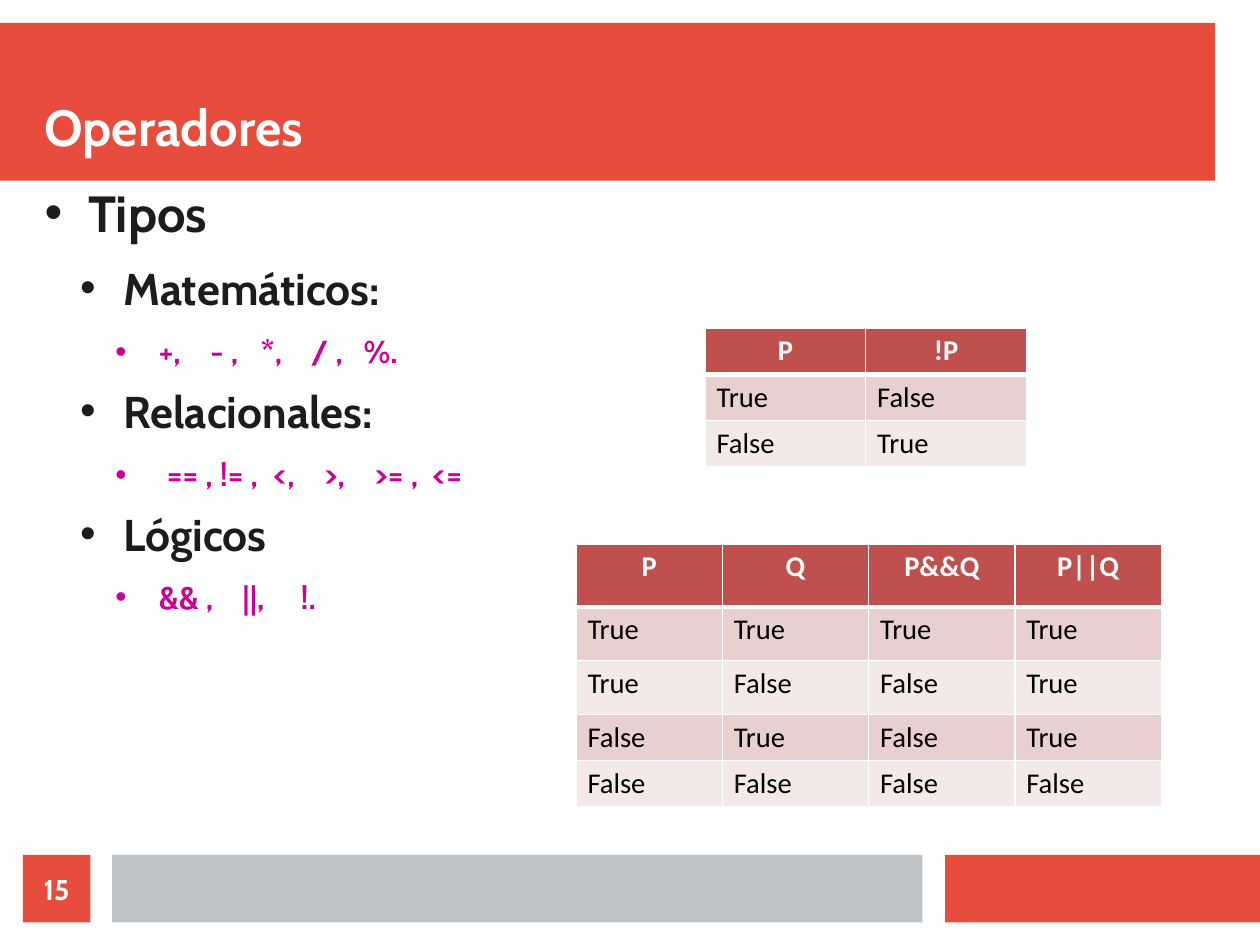
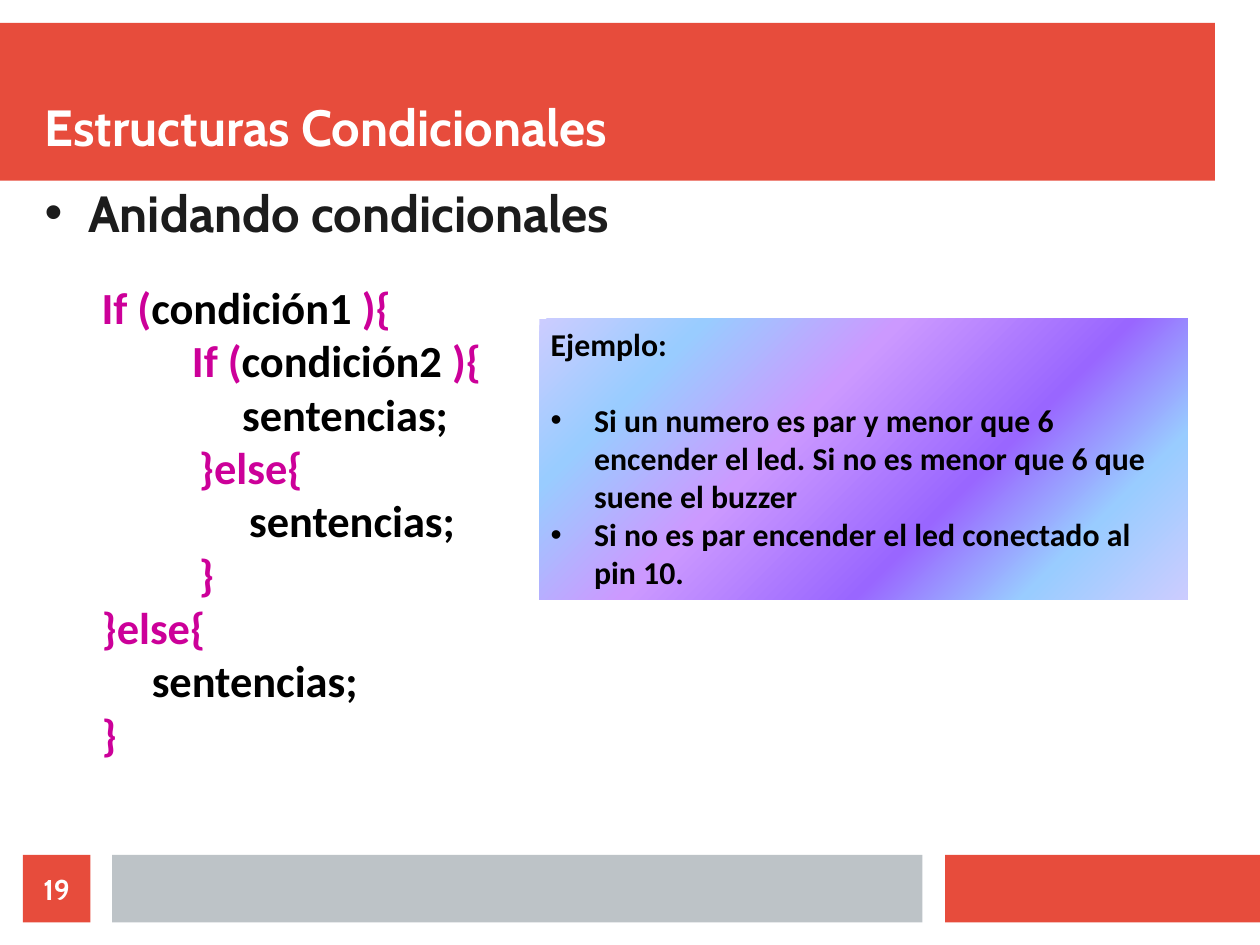
from lxml import etree
from pptx import Presentation
from pptx.dml.color import RGBColor
from pptx.enum import shapes, text
from pptx.oxml import parse_xml
from pptx.oxml.ns import nsdecls, qn
from pptx.util import Cm, Inches, Pt

RED, GRAY, INK, MAGENTA = "E74C3C", "BDC3C7", "1C1C1C", "CC0099"
WHITE, BLACK = "FFFFFF", "000000"
HEADER, BAND_DARK, BAND_LIGHT = "C0504D", "E8D0D0", "F4E9E9"
HEAD_FONT, TEXT_FONT = "Cabin", "Calibri"
HANG = 0.38
MARGINS = (0.38, 0.69, 1.0)
SIZES = (32, 28, 20)
SPACES_AFTER = (11.4, 11.3, 8.5)
FOOTER_TOP, FOOTER_HEIGHT = 7.48, 0.59
GLOW = ((0, "CCCCFF"), (18, "99CCFF"), (36, "9966FF"),
        (61, "CC99FF"), (82, "99CCFF"), (100, "CCCCFF"))


def rgb(hex_color):
    return RGBColor.from_string(hex_color)


def inches(box):
    return [Inches(v) for v in box]


def write(p, content, size=20, font=TEXT_FONT, color=BLACK, bold=True):
    r = p.add_run()
    r.text = content
    r.font.size, r.font.name, r.font.bold = Pt(size), font, bold
    r.font.color.rgb = rgb(color)


def format_paragraph(p, margin=0, hang=0, bullet=False, tabs=(), after=0):
    pPr = p._p.get_or_add_pPr()
    pPr.set("marL", str(Inches(margin)))
    pPr.set("indent", str(-Inches(hang)))
    if bullet:
        etree.SubElement(pPr, qn("a:buFont")).set("typeface", "Arial")
        etree.SubElement(pPr, qn("a:buChar")).set("char", "•")
    if tabs:
        tab_list = etree.SubElement(pPr, qn("a:tabLst"))
        for position in tabs:
            tab = etree.SubElement(tab_list, qn("a:tab"))
            tab.set("pos", str(Inches(position)))
            tab.set("algn", "l")
    p.space_before, p.space_after = Pt(0), Pt(after)


def paragraphs(tf, count):
    return [tf.paragraphs[0]] + [tf.add_paragraph() for _ in range(count - 1)]


def set_frame(tf, anchor=text.MSO_ANCHOR.TOP, inset=True):
    tf.word_wrap, tf.auto_size = True, text.MSO_AUTO_SIZE.NONE
    tf.vertical_anchor = anchor
    if not inset:
        tf.margin_left = tf.margin_right = tf.margin_top = tf.margin_bottom = 0


def add_rect(slide, box, fill=None):
    sp = slide.shapes.add_shape(shapes.MSO_SHAPE.RECTANGLE, *inches(box))
    sp.shadow.inherit = False
    sp.line.fill.background()
    if fill:
        sp.fill.solid()
        sp.fill.fore_color.rgb = rgb(fill)
    return sp


def add_master_bands(prs, slide):
    """Draw the bands once and move them to the slide master."""
    bands = (((0, 0.2, 10.63, 1.38), RED),
             ((8.27, FOOTER_TOP, 2.76, FOOTER_HEIGHT), RED),
             ((0.98, FOOTER_TOP, 7.09, FOOTER_HEIGHT), GRAY))
    for i, (box, fill) in enumerate(bands):
        sp = add_rect(slide, box, fill)
        sp._element.nvSpPr.cNvPr.set("id", str(20 + i))
        prs.slide_master.shapes.element.insert(2 + i, sp._element)


def place(sp, box):
    sp.left, sp.top, sp.width, sp.height = inches(box)


def add_page(prs, title, number):
    """Add a slide with title and page number; return it with its body frame."""
    slide = prs.slides.add_slide(prs.slide_layouts[1])
    place(slide.shapes.title, (0.39, 0.39, 10.24, 0.98))
    tf = slide.shapes.title.text_frame
    set_frame(tf, text.MSO_ANCHOR.BOTTOM, inset=False)
    tf.paragraphs[0].alignment = text.PP_ALIGN.LEFT
    write(tf.paragraphs[0], title, size=32, font=HEAD_FONT, color=WHITE)

    body = slide.placeholders[1]
    place(body, (0.39, 1.59, 10.04, 5.12))
    set_frame(body.text_frame, inset=False)

    badge = add_rect(slide, (0.2, FOOTER_TOP, 0.59, FOOTER_HEIGHT), RED)
    set_frame(badge.text_frame, text.MSO_ANCHOR.MIDDLE, inset=False)
    p = badge.text_frame.paragraphs[0]
    p.alignment = text.PP_ALIGN.CENTER
    write(p, number, size=18, font=HEAD_FONT, color=WHITE)
    return slide, body.text_frame


def fill_outline(tf, items):
    """Write (level, text, tab stops) items as a bulleted outline."""
    for p, (level, content, tabs) in zip(paragraphs(tf, len(items)), items):
        p.level = level
        format_paragraph(p, MARGINS[level], HANG, True, tabs, SPACES_AFTER[level])
        write(p, content, size=SIZES[level], font=HEAD_FONT,
              color=MAGENTA if level == 2 else INK)


def set_borders(cell, bottom):
    tcPr = cell._tc.get_or_add_tcPr()
    for i, (side, width) in enumerate((("L", 1), ("R", 1), ("T", 1), ("B", bottom))):
        tcPr.insert(i, parse_xml(
            f'<a:ln{side} {nsdecls("a")} w="{Pt(width)}"><a:solidFill>'
            f'<a:srgbClr val="{WHITE}"/></a:solidFill></a:ln{side}>'))


def add_truth_table(slide, box, row_heights, rows):
    table = slide.shapes.add_table(len(rows), len(rows[0]), *inches(box)).table
    for i, (height, values) in enumerate(zip(row_heights, rows)):
        table.rows[i].height = Inches(height)
        header = i == 0
        fill = HEADER if header else (BAND_LIGHT, BAND_DARK)[i % 2]
        for cell, value in zip(table.rows[i].cells, values):
            cell.fill.solid()
            cell.fill.fore_color.rgb = rgb(fill)
            set_borders(cell, 3 if header else 1)
            p = cell.text_frame.paragraphs[0]
            if header:
                p.alignment = text.PP_ALIGN.CENTER
            write(p, value, size=18, color=WHITE if header else BLACK, bold=header)


def add_example(slide, box, heading, items):
    sp = add_rect(slide, box)
    stops = "".join(f'<a:gs pos="{pos * 1000}"><a:srgbClr val="{color}"/></a:gs>'
                    for pos, color in GLOW)
    sp._element.spPr.insert(2, parse_xml(
        f'<a:gradFill {nsdecls("a")} rotWithShape="1"><a:gsLst>{stops}</a:gsLst>'
        '<a:path path="circle"><a:fillToRect l="100000" t="100000"/></a:path>'
        '<a:tileRect r="-100000" b="-100000"/></a:gradFill>'))
    set_frame(sp.text_frame)
    first, *rest = paragraphs(sp.text_frame, len(items) + 1)
    format_paragraph(first, after=24)
    write(first, heading)
    for p, item in zip(rest, items):
        format_paragraph(p, HANG, HANG, True)
        write(p, item)
    for p in sp.text_frame.paragraphs:
        p.alignment = text.PP_ALIGN.LEFT


def add_code(slide, box, lines):
    """Write (margin, runs) lines, each run a (text, colour) pair."""
    tf = slide.shapes.add_textbox(*inches(box)).text_frame
    set_frame(tf)
    for p, (margin, runs) in zip(paragraphs(tf, len(lines)), lines):
        format_paragraph(p, margin)
        for content, color in runs:
            write(p, content, size=28, color=color)


def add_operators(slide, body):
    fill_outline(body, (
        (0, "Tipos", ()),
        (1, "Matemáticos:", ()),
        (2, "+,\t- ,\t*,\t/ ,\t%.", (1.45, 1.89, 2.33, 2.79)),
        (1, "Relacionales:", ()),
        (2, "\t== , != ,\t<,\t>,\t>= ,\t<=", (1.07, 2.0, 2.44, 2.88, 3.39)),
        (1, "Lógicos", ()),
        (2, "&& ,\t||,\t!.", (1.73, 2.24))))
    add_truth_table(slide, (5.04, 4.76, 5.12, 2.3), (0.55, 0.47, 0.47, 0.4, 0.4), (
        ("P", "Q", "P&&Q", "P||Q"),
        ("True", "True", "True", "True"),
        ("True", "False", "False", "True"),
        ("False", "True", "False", "True"),
        ("False", "False", "False", "False")))
    add_truth_table(slide, (6.17, 2.87, 2.81, 1.2), (0.4,) * 3, (
        ("P", "!P"), ("True", "False"), ("False", "True")))


def add_conditionals(slide, body):
    fill_outline(body, ((0, "Anidando condicionales", ()),))
    add_example(slide, (4.72, 2.79, 5.67, 2.46), "Ejemplo:", (
        "Si un numero es par y menor que 6 encender el led. "
        "Si no es menor que 6 que suene el buzzer",
        "Si no es par encender el led conectado al pin 10."))
    add_code(slide, (0.79, 2.4, 5.51, 4.34), (
        (0, (("If (", MAGENTA), ("condición1 ", BLACK), ("){", MAGENTA))),
        (0, (("         If (", MAGENTA), ("condición2 ", BLACK), ("){", MAGENTA))),
        (0, (("              sentencias;", BLACK),)),
        (0.5, (("    }else{", MAGENTA),)),
        (0.5, (("         sentencias;", BLACK),)),
        (0.5, (("    }", MAGENTA),)),
        (0, (("}else{", MAGENTA),)),
        (0, (("     sentencias;", BLACK),)),
        (0, (("}", MAGENTA),))))


def main():
    prs = Presentation()
    prs.slide_width, prs.slide_height = Cm(28), Cm(21)
    prs.element.sldSz.attrib.pop("type", None)
    operators, body = add_page(prs, "Operadores", "15")
    add_master_bands(prs, operators)
    add_operators(operators, body)
    add_conditionals(*add_page(prs, "Estructuras Condicionales", "19"))
    prs.save("out.pptx")


if __name__ == "__main__":
    main()
